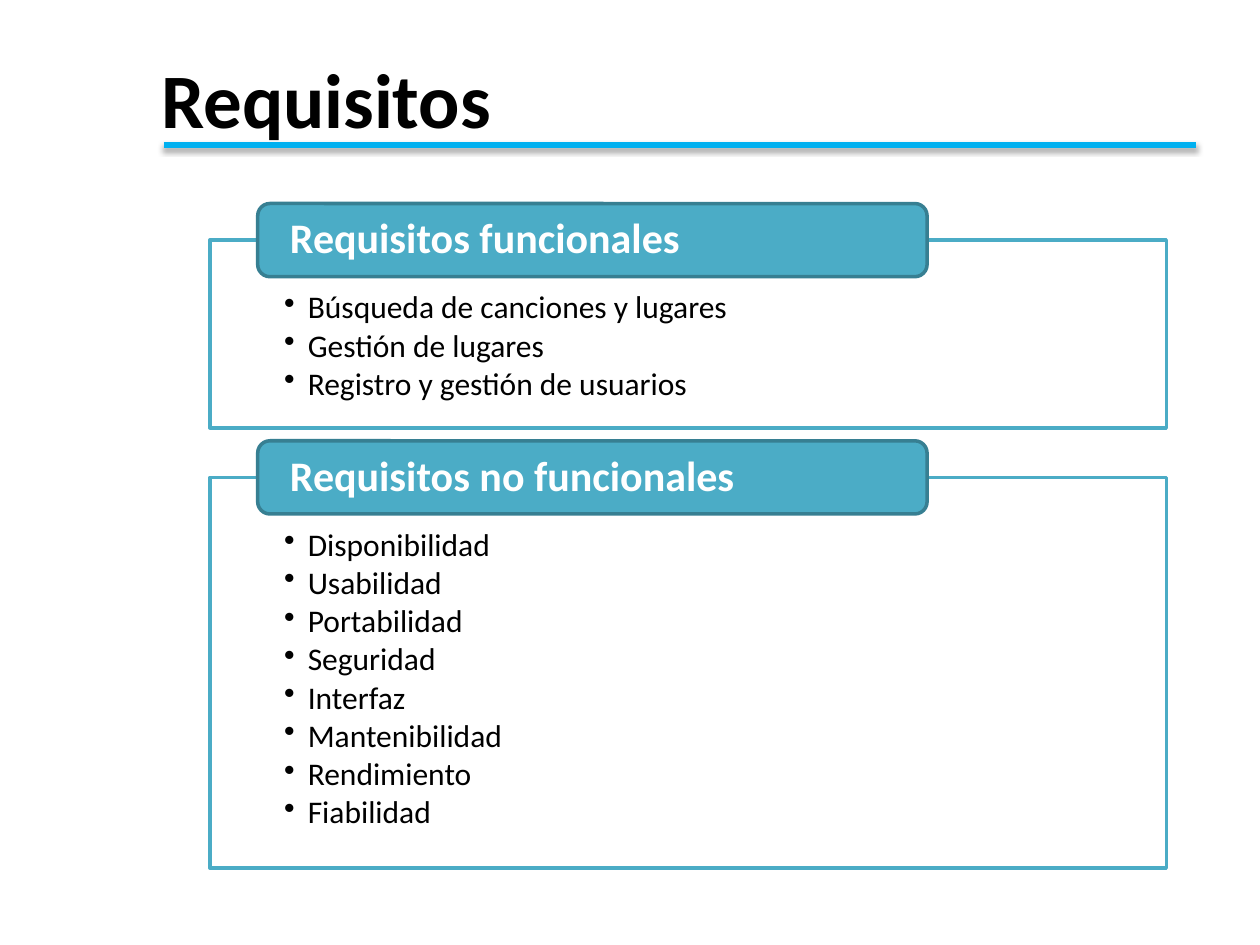
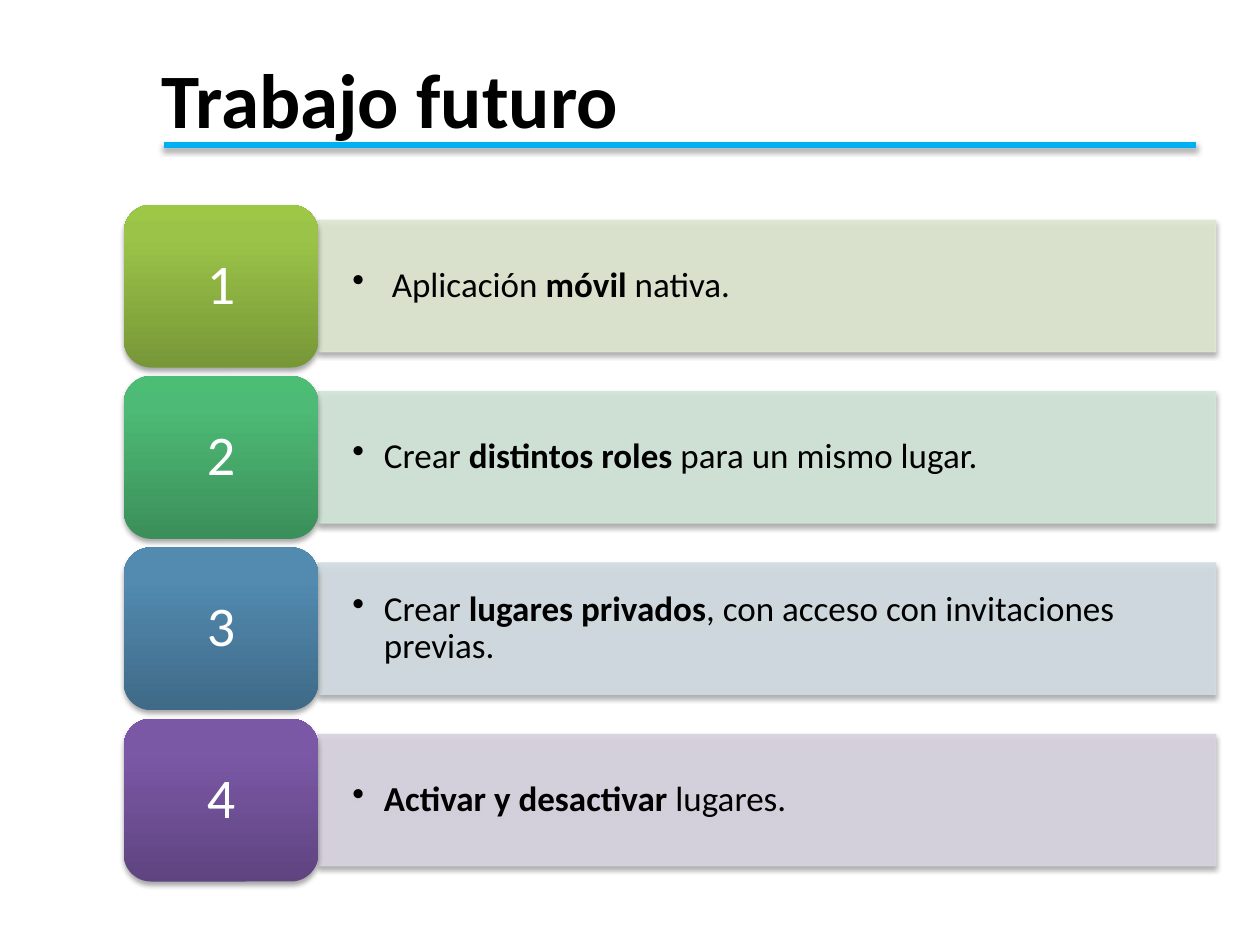
from dataclasses import dataclass

from pptx import Presentation
from pptx.dml.color import RGBColor
from pptx.enum.shapes import MSO_CONNECTOR, MSO_SHAPE
from pptx.enum.text import MSO_ANCHOR, PP_ALIGN
from pptx.oxml import parse_xml
from pptx.oxml.ns import nsdecls, qn
from pptx.util import Pt

# Content; a list item is a list of (text, bold) spans
REQUIREMENTS = [
    ("Requisitos funcionales",
     ["Búsqueda de canciones y lugares", "Gestión de lugares",
      "Registro y gestión de usuarios"]),
    ("Requisitos no funcionales",
     ["Disponibilidad", "Usabilidad", "Portabilidad", "Seguridad",
      "Interfaz", "Mantenibilidad", "Rendimiento", "Fiabilidad"]),
]
# Spans, bullet indent, bar colour, tile gradient from bottom to top
FUTURE_WORK = [
    ([("Aplicación ", False), ("móvil", True), (" nativa.", False)],
     22.5, "DEE7D1", ("779737", "9BC348", "9DC746")),
    ([("Crear ", False), ("distintos roles", True),
      (" para un mismo lugar.", False)],
     18, "D2E5D9", ("3B8F5A", "4DBA75", "4BBD75")),
    ([("Crear ", False), ("lugares privados", True),
      (", con acceso con invitaciones previas.", False)],
     18, "D2DCE2", ("3F6A88", "528AB0", "518BB3")),
    ([("Activar y desactivar ", True), ("lugares.", False)],
     18, "D8D3E0", ("5F4480", "7B58A6", "7C57A8")),
]


@dataclass(frozen=True)
class Theme:
    font: str = "Calibri"
    ink: str = "000000"
    paper: str = "FFFFFF"
    rule: str = "00B0F0"
    teal: str = "4BACC6"
    teal_dark: str = "377F92"
    title: int = 44
    number: int = 32
    heading: int = 24
    sentence: int = 20
    item: int = 18


THEME = Theme()


def write_text(box, paragraphs, size, color=THEME.ink, align=PP_ALIGN.LEFT,
               anchor=MSO_ANCHOR.TOP, insets=(7.2, 3.6, 7.2, 3.6),
               line_spacing=None, space_after=0, indent=0):
    """Fill a box with paragraphs, each a list of (text, bold) spans."""
    frame = box.text_frame
    frame.word_wrap = True
    frame.vertical_anchor = anchor
    (frame.margin_left, frame.margin_top,
     frame.margin_right, frame.margin_bottom) = map(Pt, insets)
    for index, spans in enumerate(paragraphs):
        para = frame.add_paragraph() if index else frame.paragraphs[0]
        para.alignment = align
        para.space_after = Pt(space_after)
        if line_spacing:
            para.line_spacing = line_spacing
        if indent:
            properties = para._p.get_or_add_pPr()
            properties.set("marL", str(Pt(indent)))
            properties.set("indent", str(-Pt(indent)))
            properties.append(parse_xml(f'<a:buChar {nsdecls("a")} char="•"/>'))
        for text, bold in spans:
            span = para.add_run()
            span.text = text
            span.font.name = THEME.font
            span.font.size = Pt(size)
            span.font.bold = bold
            span.font.color.rgb = RGBColor.from_string(color)


def add_block(page, preset, left, top, width, height, fill=None, line=None,
              line_width=2):
    shape = page.shapes.add_shape(preset, Pt(left), Pt(top), Pt(width), Pt(height))
    shape.shadow.inherit = False
    if fill:
        shape.fill.solid()
        shape.fill.fore_color.rgb = RGBColor.from_string(fill)
    if line:
        shape.line.color.rgb = RGBColor.from_string(line)
        shape.line.width = Pt(line_width)
    else:
        shape.line.fill.background()
    return shape


def add_shadow(shape):
    properties = shape._element.spPr
    for effects in properties.findall(qn("a:effectLst")):
        properties.remove(effects)
    properties.append(parse_xml(
        f'<a:effectLst {nsdecls("a")}><a:outerShdw blurRad="{Pt(3.1)}" '
        f'dist="{Pt(1.8)}" dir="5400000" rotWithShape="0"><a:srgbClr val="000000">'
        '<a:alpha val="35000"/></a:srgbClr></a:outerShdw></a:effectLst>'))


def set_gradient(shape, colors):
    shape.fill.gradient()
    shape.fill.gradient_angle = 90
    stops = shape._element.spPr.find(".//" + qn("a:gsLst"))
    stops.clear()
    for position, color in zip((0, 80, 100), colors):
        stops.append(parse_xml(
            f'<a:gs {nsdecls("a")} pos="{position * 1000}">'
            f'<a:srgbClr val="{color}"/></a:gs>'))


def set_opacity(shape, percent):
    for color in shape._element.spPr.iter(qn("a:srgbClr")):
        color.append(parse_xml(f'<a:alpha {nsdecls("a")} val="{percent * 1000}"/>'))


def add_page(deck, title):
    """Add a blank page with the shared title and its rule."""
    page = deck.slides.add_slide(deck.slide_layouts[6])
    box = page.shapes.add_textbox(Pt(85), Pt(26), Pt(635), Pt(68))
    write_text(box, [[(title, True)]], THEME.title)
    rule = page.shapes.add_connector(
        MSO_CONNECTOR.STRAIGHT, Pt(93.6), Pt(82.8), Pt(683.3), Pt(82.8))
    rule.line.color.rgb = RGBColor.from_string(THEME.rule)
    rule.line.width = Pt(3)
    add_shadow(rule)
    return page


def build_requirements(deck):
    page = add_page(deck, "Requisitos")
    banner_top, banner_height, gap = 116.3, 41.8, 7.4
    for heading, items in REQUIREMENTS:
        # The panel starts at mid banner and grows with its list
        panel_top = banner_top + banner_height / 2
        panel_height = 37.7 + 23.2 * len(items)
        panel = add_block(page, MSO_SHAPE.RECTANGLE, 120, panel_top, 546.5,
                          panel_height, THEME.paper, THEME.teal)
        write_text(panel, [[(item, False)] for item in items], THEME.item,
                   insets=(42.4, 29.5, 42.4, 10), line_spacing=0.9,
                   space_after=2.4, indent=13.5)
        banner = add_block(page, MSO_SHAPE.ROUNDED_RECTANGLE, 147.3, banner_top,
                           382.5, banner_height, THEME.teal, THEME.teal_dark)
        write_text(banner, [[(heading, True)]], THEME.heading, THEME.paper,
                   anchor=MSO_ANCHOR.MIDDLE, insets=(16.4, 0, 16.4, 0),
                   line_spacing=0.9)
        banner_top = panel_top + panel_height + gap


def build_future_work(deck):
    page = add_page(deck, "Trabajo futuro")
    tile_left, tile_width, tile_height = 70.8, 111, 93
    bar_height, pitch = 75, 97.9
    for index, (spans, indent, bar_color, gradient) in enumerate(FUTURE_WORK):
        top = 117 + index * pitch
        # Sentence bar, centred on its tile
        bar = add_block(page, MSO_SHAPE.RECTANGLE, tile_left + tile_width,
                        top + (tile_height - bar_height) / 2, 513, bar_height,
                        bar_color, bar_color, line_width=0.75)
        set_opacity(bar, 90)
        add_shadow(bar)
        write_text(bar, [spans], THEME.sentence, anchor=MSO_ANCHOR.MIDDLE,
                   insets=(19.6, 10, 19.6, 10), line_spacing=0.9, indent=indent)
        # Number tile
        tile = add_block(page, MSO_SHAPE.ROUNDED_RECTANGLE, tile_left, top,
                         tile_width, tile_height)
        set_gradient(tile, gradient)
        add_shadow(tile)
        write_text(tile, [[(str(index + 1), False)]], THEME.number, THEME.paper,
                   align=PP_ALIGN.CENTER, anchor=MSO_ANCHOR.MIDDLE,
                   line_spacing=0.9)


def main():
    deck = Presentation()
    deck.slide_width, deck.slide_height = Pt(720), Pt(540)
    build_requirements(deck)
    build_future_work(deck)
    deck.save("out.pptx")


if __name__ == "__main__":
    main()
